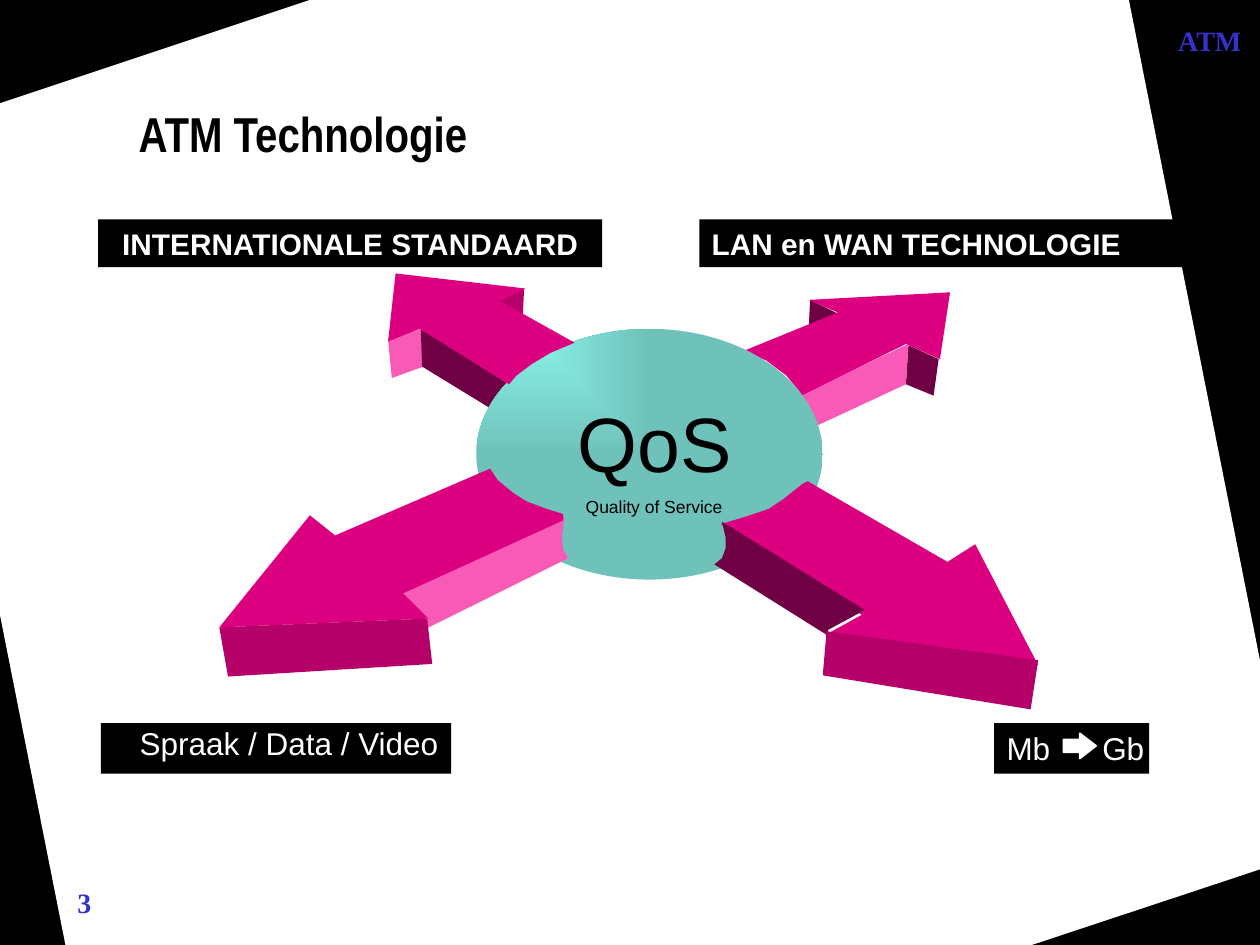
from lxml.etree import SubElement
from pptx import Presentation
from pptx.dml.color import RGBColor
from pptx.enum.shapes import MSO_SHAPE
from pptx.enum.text import MSO_ANCHOR, MSO_AUTO_SIZE, PP_ALIGN
from pptx.oxml.ns import qn
from pptx.util import Inches, Pt

HUES = {
    "black": "000000", "white": "FFFFFF", "blue": "3333CC",
    "pink": "DC0081", "light": "F95AB7", "deep": "B50069", "dark": "6E0043",
    "aqua": "8CF4EA", "teal": "6FC2BA",
}
LEFT, MID, RIGHT = PP_ALIGN.LEFT, PP_ALIGN.CENTER, PP_ALIGN.RIGHT
WIDE, HIGH = Inches(10), Inches(7.5)
UNIT = WIDE // 1000

PAGE = ("white", [(896, 0), (246, 0), (0, 82), (0, 488), (52, 750),
                  (819, 750), (1000, 690), (1000, 524)])
HEAD = ("ATM Technologie", (100, 66, 900, 82))
BACK = [
    ("light", [(311, 300), (308, 270), (334, 261), (336, 291)]),
    ("deep", [(396, 239), (416, 229), (415, 251)]),
    ("dark", [(335, 291), (389, 324), (395, 315), (404, 305), (334, 261)]),
    ("dark", [(642, 258), (643, 238), (665, 249)]),
    ("dark", [(719, 305), (721, 274), (745, 285), (741, 314)]),
    ("light", [(648, 338), (719, 305), (721, 273), (636, 313), (644, 329)]),
    ("pink", [(589, 279), (608, 286), (624, 298), (634, 310), (636, 314),
              (719, 273), (746, 285), (754, 232), (642, 238), (665, 248)]),
]
HUB = (378, 261, 275, 199)
FRONT = [
    ("light", [(320, 471), (448, 410), (447, 418), (446, 426), (447, 436),
               (451, 443), (338, 499), (339, 490)]),
    ("pink", [(246, 409), (174, 498), (340, 491), (320, 471), (447, 413),
              (447, 408), (434, 404), (418, 398), (407, 391), (395, 381),
              (389, 372), (266, 425)]),
    ("deep", [(174, 498), (181, 537), (343, 527), (339, 491)]),
    ("pink", [(572, 416), (592, 410), (610, 404), (622, 396), (637, 384),
              (641, 382), (752, 446), (774, 432), (824, 528), (655, 504),
              (684, 488)]),
    ("dark", [(573, 414), (576, 427), (576, 435), (573, 443), (567, 448),
              (658, 505), (657, 500), (683, 486), (686, 484)]),
    ("deep", [(653, 536), (656, 501), (824, 524), (818, 563)]),
    ("pink", [(404, 305), (333, 261), (308, 271), (314, 217), (417, 229),
              (397, 239), (456, 272), (437, 280), (422, 289), (410, 298)]),
]
BARS = [(555, 174, 445, 38), (78, 174, 400, 38), (80, 574, 278, 40), (789, 574, 123, 40)]
SIGN = ("white", [(844, 587), (857, 587), (857, 582), (870, 592),
                  (857, 602), (857, 597), (844, 597)])
SANS, SERIF = "Arial", "Times New Roman"
TEXTS = [
    ("LAN en WAN TECHNOLOGIE", BARS[0], SANS, 17, True, "white", LEFT),
    ("INTERNATIONALE STANDAARD", BARS[1], SANS, 17, True, "white", MID),
    ("Spraak / Data / Video", (101, 570, 257, 40), SANS, 18, False, "white", LEFT),
    ("Mb", BARS[3], SANS, 18, False, "white", LEFT),
    ("Gb", (865, 574, 71, 40), SANS, 18, False, "white", LEFT),
    ("QoS", (383, 309, 273, 84), SANS, 44, False, "black", MID),
    ("Quality of Service", (455, 389, 205, 27), SANS, 10, False, "black", LEFT),
    ("3", (28, 698, 78, 33), SERIF, 16, True, "blue", MID),
    ("ATM", (904, 14, 91, 37), SERIF, 16, True, "blue", RIGHT),
]


def hue(name):
    return RGBColor.from_string(HUES[name])


def scale(box):
    return [n * UNIT for n in box]


def paint(shape, name):
    shape.shadow.inherit = False
    shape.fill.solid()
    shape.fill.fore_color.rgb = hue(name)
    shape.line.fill.background()


def poly(shapes, name, dots):
    pen = shapes.build_freeform(*dots[0], scale=UNIT)
    pen.add_line_segments(dots[1:], close=True)
    shape = pen.convert_to_shape()
    paint(shape, name)
    return shape


def write(frame, text, face, size, bold, name, side):
    para = frame.paragraphs[0]
    para.alignment = side
    run = para.add_run()
    run.text = text
    font = run.font
    font.name, font.size, font.bold = face, Pt(size), bold
    font.color.rgb = hue(name)
    return para


def title(slide):
    text, box = HEAD
    shape = slide.shapes.title
    shape.left, shape.top, shape.width, shape.height = scale(box)
    frame = shape.text_frame
    frame.auto_size = MSO_AUTO_SIZE.NONE
    frame.vertical_anchor = MSO_ANCHOR.MIDDLE
    frame.margin_top = Inches(0.07)
    para = write(frame, text, "Arial Narrow", 28, True, "black", LEFT)
    para.line_spacing = 0.96
    slide.shapes._spTree.append(shape._element)


def hub(shapes):
    shape = shapes.add_shape(MSO_SHAPE.OVAL, *scale(HUB))
    paint(shape, "teal")
    fill = shape.fill
    fill.gradient()
    for stop, name, spot in zip(fill.gradient_stops, ("aqua", "teal"), (0, 1)):
        stop.color.rgb = hue(name)
        stop.position = spot
    grad = shape._element.spPr.find(qn("a:gradFill"))
    grad.remove(grad.find(qn("a:lin")))
    way = SubElement(grad, qn("a:path"), {"path": "rect"})
    SubElement(way, qn("a:fillToRect"), {"l": "0", "t": "0", "r": "100000", "b": "100000"})


def main():
    deck = Presentation()
    deck.slide_width, deck.slide_height = WIDE, HIGH
    slide = deck.slides.add_slide(deck.slide_layouts[5])
    shapes = slide.shapes
    slide.background.fill.solid()
    slide.background.fill.fore_color.rgb = hue("black")
    poly(shapes, *PAGE)
    title(slide)
    for part in BACK:
        poly(shapes, *part)
    hub(shapes)
    for part in FRONT:
        poly(shapes, *part)
    for box in BARS:
        paint(shapes.add_shape(MSO_SHAPE.RECTANGLE, *scale(box)), "black")
    sign = poly(shapes, *SIGN)
    sign.line.color.rgb = hue("white")
    sign.line.width = Pt(1)
    for text, box, *look in TEXTS:
        frame = shapes.add_textbox(*scale(box)).text_frame
        frame.word_wrap = box[0] != 101
        write(frame, text, *look)
    deck.save("out.pptx")


if __name__ == "__main__":
    main()
